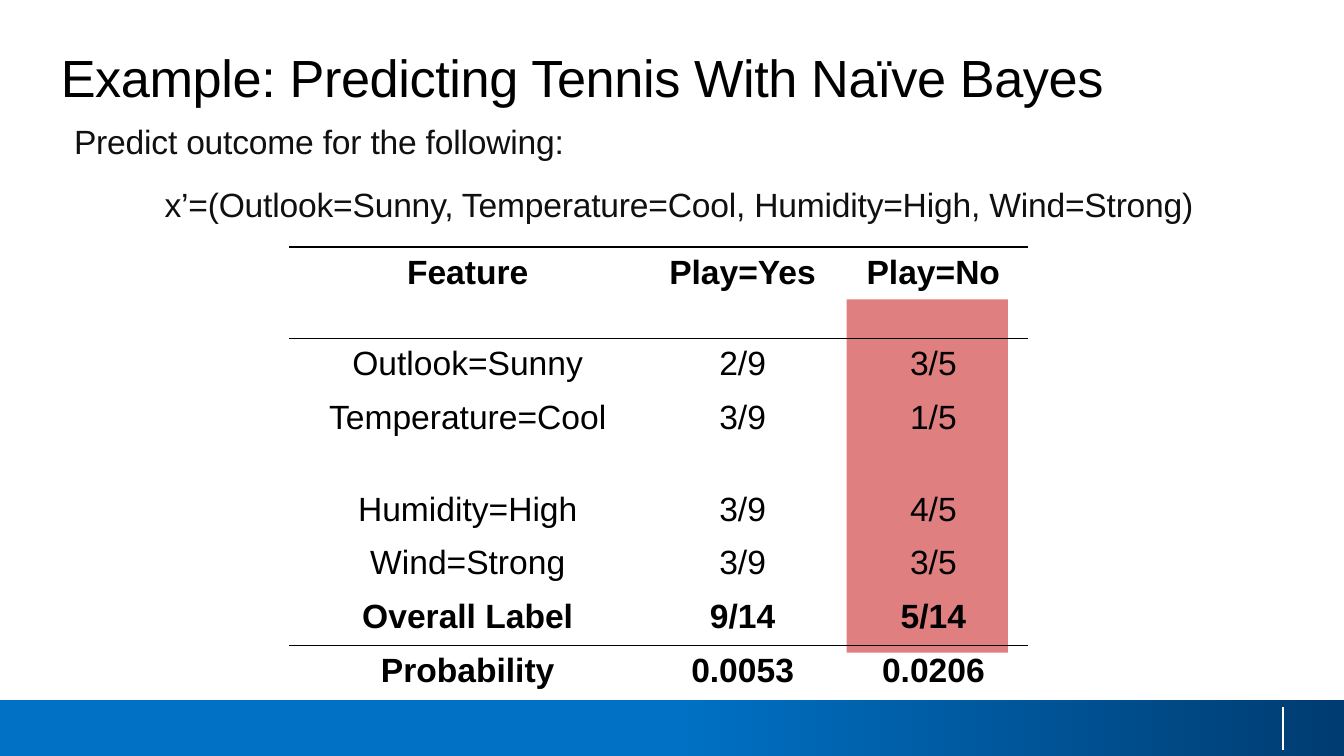
import pptx
import pptx.util
import pptx.dml.color
import pptx.enum.shapes
import pptx.enum.text
import pptx.oxml
import pptx.oxml.ns
from lxml import etree

Cm = pptx.util.Cm
Pt = pptx.util.Pt
qn = pptx.oxml.ns.qn
SHAPE = pptx.enum.shapes.MSO_SHAPE
ALIGN = pptx.enum.text.PP_ALIGN

HUES = {
    "black": "000000",
    "text": "101010",
    "white": "FFFFFF",
    "navy": "003C71",
    "blue": "0071C5",
    "red": "C00000",
}
ROWS = [
    ("Feature", "Play=Yes", "Play=No"),
    ("Outlook=Sunny", "2/9", "3/5"),
    ("Temperature=Cool", "3/9", "1/5"),
    ("Humidity=High", "3/9", "4/5"),
    ("Wind=Strong", "3/9", "3/5"),
    ("Overall Label", "9/14", "5/14"),
    ("Probability", "0.0053", "0.0206"),
]
WIDTHS = [6.76, 3.63, 3.58]
TALL = {0, 2}
BOLD = {0, 5, 6}
RULES = {0, 1, 6}


def hue(name):
    return pptx.dml.color.RGBColor.from_string(HUES[name])


def style(para, size, color, bold=False, track=0):
    font = para.font
    font.name = "Arial"
    font.size = Pt(size)
    font.bold = bold
    font.color.rgb = hue(color)
    if track:
        para._p.pPr.find(qn("a:defRPr")).set("spc", str(track))


def add_rect(slide, left, top, width, height):
    rect = slide.shapes.add_shape(
        SHAPE.RECTANGLE, Cm(left), Cm(top), Cm(width), Cm(height))
    rect.shadow.inherit = False
    rect.line.fill.background()
    return rect


def add_band(slide):
    fill = add_rect(slide, 0, 13.23, 25.4, 1.06).fill
    fill.gradient()
    fill.gradient_angle = 180
    for stop, name, pos in zip(fill.gradient_stops, ("navy", "blue"), (0, 0.5)):
        stop.color.rgb = hue(name)
        stop.position = pos


def add_tick(slide):
    tick = slide.shapes.add_connector(
        pptx.enum.shapes.MSO_CONNECTOR.STRAIGHT,
        Cm(24.25), Cm(13.37), Cm(24.25), Cm(14.17))
    tick.line.color.rgb = hue("white")
    tick.line.width = Pt(0.75)
    etree.SubElement(tick._element.spPr, qn("a:effectLst"))


def add_glow(slide):
    rect = add_rect(slide, 16, 5.66, 3.05, 6.68)
    rect.fill.solid()
    rect.fill.fore_color.rgb = hue("red")
    color = rect._element.spPr.find(".//" + qn("a:srgbClr"))
    etree.SubElement(color, qn("a:alpha"), val="50000")


def add_text(slide, box, lines, size, color, track, after=0):
    frame = slide.shapes.add_textbox(*map(Cm, box)).text_frame
    frame.word_wrap = True
    frame.margin_left = Cm(0.03)
    frame.margin_right = frame.margin_top = frame.margin_bottom = 0
    for i, (text, align) in enumerate(lines):
        para = frame.add_paragraph() if i else frame.paragraphs[0]
        para.text = text
        para.alignment = align
        para.space_after = Pt(after)
        style(para, size, color, track=track)


def set_edges(cell, shown):
    props = cell._tc.get_or_add_tcPr()
    for i, side in enumerate("LRTB"):
        line = etree.Element(qn("a:ln" + side), w=str(Pt(0.96)))
        if side in shown:
            fill = etree.SubElement(line, qn("a:solidFill"))
            etree.SubElement(fill, qn("a:srgbClr"), val=HUES["black"])
        else:
            etree.SubElement(line, qn("a:noFill"))
        props.insert(i, line)


def add_grid(slide):
    highs = [1.73 if r in TALL else 0.99 for r in range(len(ROWS))]
    grid = slide.shapes.add_table(
        len(ROWS), len(WIDTHS), Cm(5.46), Cm(4.67),
        Cm(sum(WIDTHS)), Cm(sum(highs))).table
    grid.first_row = grid.horz_banding = False
    for col, width in zip(grid.columns, WIDTHS):
        col.width = Cm(width)
    for r, (row, texts) in enumerate(zip(grid.rows, ROWS)):
        row.height = Cm(highs[r])
        shown = ("T" if r in RULES else "") + ("B" if r + 1 in RULES else "")
        for cell, text in zip(row.cells, texts):
            cell.fill.background()
            cell.margin_left = cell.margin_right = Cm(0.18)
            set_edges(cell, shown)
            para = cell.text_frame.paragraphs[0]
            para.text = text
            para.alignment = ALIGN.CENTER
            para.space_before = Pt(3.6)
            style(para, 18, "black", r in BOLD)


def main():
    deck = pptx.Presentation()
    deck.slide_width = Cm(25.4)
    deck.slide_height = Cm(14.29)
    slide = deck.slides.add_slide(deck.slide_layouts[6])
    add_band(slide)
    add_tick(slide)
    add_glow(slide)
    add_text(slide, (1.12, 0.86, 23.44, 2.54),
             [("Example: Predicting Tennis With Naïve Bayes", ALIGN.LEFT)],
             28, "black", -20)
    add_text(slide, (1.37, 2.29, 22.89, 2.97),
             [("Predict outcome for the following:", ALIGN.LEFT),
              ("x’=(Outlook=Sunny, Temperature=Cool, Humidity=High, Wind=Strong)",
               ALIGN.CENTER)],
             18, "text", -10, 12)
    add_grid(slide)
    deck.save("out.pptx")


if __name__ == "__main__":
    main()
